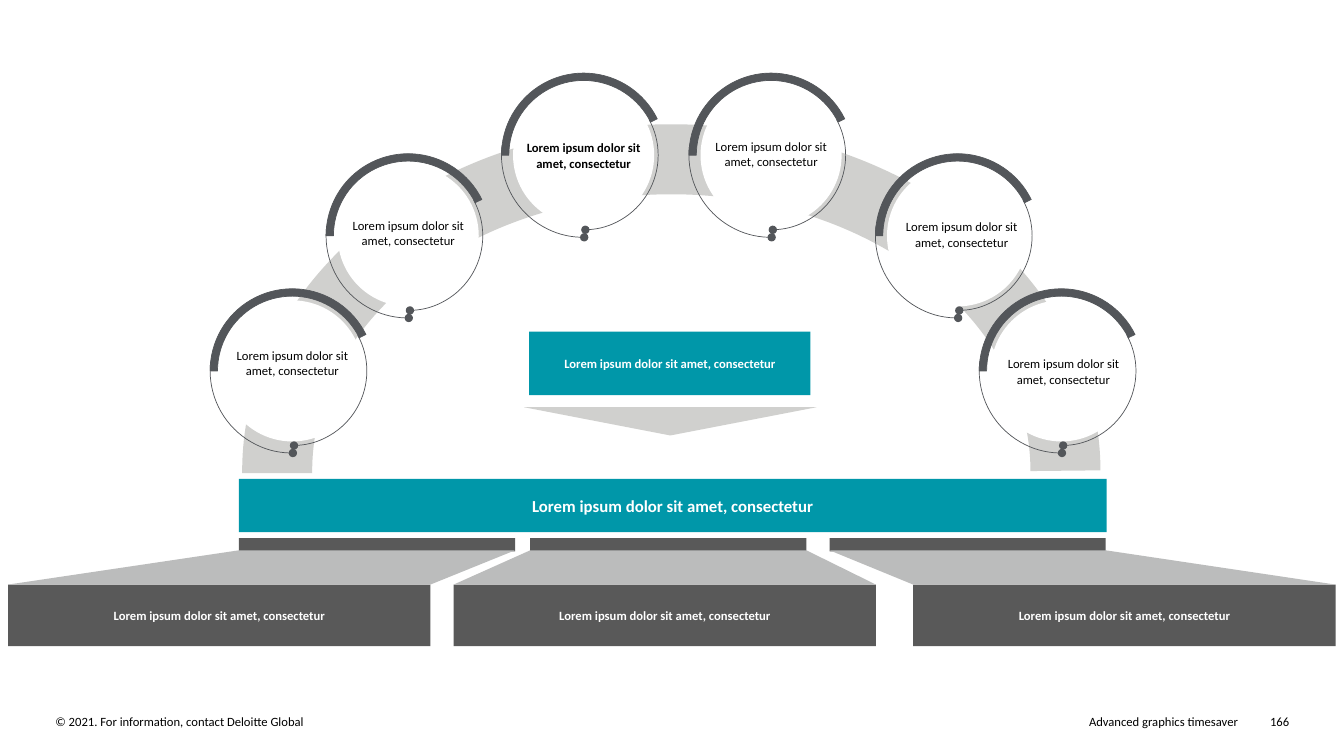
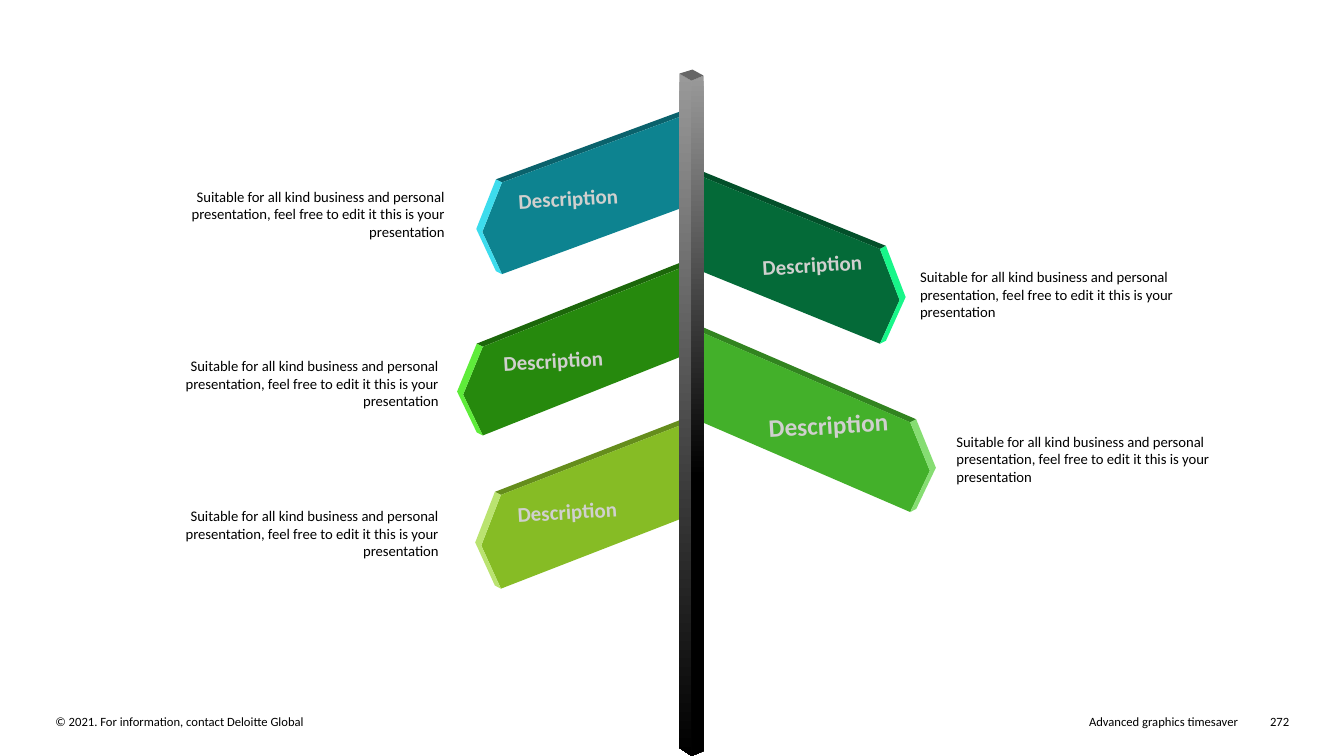
import pptx
import pptx.dml.color
import pptx.enum.shapes
import pptx.enum.text
import pptx.oxml.ns
import pptx.util
from lxml import etree

KIND = pptx.enum.shapes.MSO_SHAPE
ALIGN = {
    "left": pptx.enum.text.PP_ALIGN.LEFT,
    "mid": pptx.enum.text.PP_ALIGN.CENTER,
    "right": pptx.enum.text.PP_ALIGN.RIGHT,
}
UNIT = pptx.util.Inches(0.1)
COLS, ROWS = 400 / 3, 75
FONT = "Calibri"
BLACK, WHITE = "000000", "FFFFFF"
TEAL, SLATE, STEEL = "0097A9", "53565A", "595959"
PALE, MIST = "D0D0CE", "BBBCBC"
LOREM = "Lorem ipsum dolor sit amet, consectetur"
SUIT = ("Suitable for all kind business and personal presentation, "
        "feel free to edit it this is your presentation")


def cell(num):
    """Turn grid columns or rows into a length."""
    return pptx.util.Emu(round(num * UNIT))


def tint(code):
    """Turn a hex string into a colour."""
    return pptx.dml.color.RGBColor.from_string(code)


def paint(shape, fill=None, line=None, width=0.5):
    """Set the fill and line of a shape and drop its shadow."""
    shape.shadow.inherit = False
    if fill:
        shape.fill.solid()
        shape.fill.fore_color.rgb = tint(fill)
    else:
        shape.fill.background()
    if line:
        shape.line.color.rgb = tint(line)
        shape.line.width = pptx.util.Pt(width)
    else:
        shape.line.fill.background()


def write(shape, words, size=9, color=BLACK, bold=False, align="left", gap=None, wrap=True):
    """Put formatted text in a shape."""
    frame = shape.text_frame
    frame.word_wrap = wrap
    para = frame.paragraphs[0]
    para.alignment = ALIGN[align]
    if gap:
        para.line_spacing = gap
    run = para.add_run()
    run.text = words
    run.font.name = FONT
    run.font.size = pptx.util.Pt(size)
    run.font.bold = bold
    run.font.color.rgb = tint(color)


def label(slide, box, words, pad=True, turn=0, **form):
    """Add a text box, with or without its insets."""
    shape = slide.shapes.add_textbox(*map(cell, box))
    shape.rotation = turn
    if not pad:
        frame = shape.text_frame
        frame.margin_left = frame.margin_right = 0
        frame.margin_top = frame.margin_bottom = 0
    write(shape, words, **form)


def block(slide, box, fill, words=None, kind=KIND.RECTANGLE, **form):
    """Add a filled shape with optional bold white text."""
    shape = slide.shapes.add_shape(kind, *map(cell, box))
    paint(shape, fill)
    if words:
        write(shape, words, color=WHITE, bold=True, align="mid", **form)
    return shape


def patch(slide, fill, *spots):
    """Add a closed outline through the given spots."""
    first, *rest = [(cell(x), cell(y)) for x, y in spots]
    pen = slide.shapes.build_freeform(*first)
    pen.add_line_segments(rest, close=True)
    shape = pen.convert_to_shape()
    paint(shape, fill)
    return shape


def round_part(slide, kind, mid, size, turns=(), end=None, **look):
    """Add a circular part about a centre, with an optional dot at one end."""
    x, y = mid
    box = (x - size / 2, y - size / 2, size, size)
    shape = slide.shapes.add_shape(kind, *map(cell, box))
    for i, turn in enumerate(turns):
        shape.adjustments[i] = turn
    paint(shape, **look)
    if end:
        line = shape.element.spPr.find(pptx.oxml.ns.qn("a:ln"))
        etree.SubElement(line, pptx.oxml.ns.qn("a:" + end), type="oval")


def badge(slide, x, y, top, shift=0, **form):
    """Add a ringed disc with its caption."""
    mid = (x, y)
    round_part(slide, KIND.OVAL, mid, 14, fill=WHITE)
    round_part(slide, KIND.BLOCK_ARC, mid, 16.3, (108, 200.22, 0.045), fill=SLATE, line=SLATE)
    round_part(slide, KIND.ARC, mid, 14.8, (198.89, 53.19), "tailEnd", line=SLATE)
    round_part(slide, KIND.ARC, mid, 16.3, (53.75, 112.01), "headEnd", line=SLATE)
    label(slide, (x + shift - 5.65, top, 11.3, 4.9), LOREM, pad=False, align="mid", **form)


def pillar(slide, bar, base):
    """Add a bar that widens into a base block."""
    slim, wide = 27.4, 41.9
    block(slide, (bar, 53.4, slim, 1.3), STEEL)
    block(slide, (base, 58, wide, 6.1), STEEL, LOREM, gap=1.06)
    patch(slide, MIST, (bar, 54.6), (bar + slim, 54.6), (base + wide, 58), (base, 58))


def sign(slide, root, top, edge, drop, tall, roof, face, side):
    """Add a pointed board with its lit top and tip."""
    way = 1 if edge > root else -1
    high = drop + tall
    tip = (edge + 1.95 * way, drop + 0.54 * tall)

    def back(spot):
        """Move a spot by the depth of the board."""
        return spot[0] + 0.6 * way, spot[1] - 0.3

    near, far, low = (root, top), (edge, drop), (edge, high)
    patch(slide, roof, near, back(near), back(far), far)
    patch(slide, face, low, (root, top + tall), near, far, tip)
    patch(slide, side, low, back(low), back(tip), back(far), far, tip)


def shade(shape, stop):
    """Fade a shape from grey at the top to black."""
    shape.fill.gradient()
    shape.fill.gradient_angle = 270
    for mark, code, place in zip(shape.fill.gradient_stops, ("999999", BLACK), (0, stop)):
        mark.color.rgb = tint(code)
        mark.position = place


def post(slide):
    """Add the square pole and its cap."""
    left, mid, right, foot = 67.4, 68.6, 69.8, ROWS
    shade(patch(slide, BLACK, (mid, foot), (left, 74.2), (left, 7.3), (mid, 8)), 1)
    shade(patch(slide, BLACK, (mid, foot), (right, 74.5), (right, 7.5), (mid, 8)), 0.59)
    patch(slide, "666666", (left, 7.3), (68.7, 6.9), (right, 7.5), (mid, 8))


def page(deck, num):
    """Add a blank slide with the shared footer."""
    slide = deck.slides.add_slide(deck.slide_layouts[6])
    notes = (
        (5.5, 58.6, "© 2021. For information, contact Deloitte Global", "left"),
        (69.3, 53.5, "Advanced graphics timesaver", "right"),
        (124.5, 3.4, num, "right"),
    )
    for left, wide, words, align in notes:
        label(slide, (left, 70.8, wide, 1.5), words, pad=False, align=align)
    return slide


def arch(deck):
    """Build the arch of badges on its stepped base."""
    slide = page(deck, "166")
    block(slide, (23.7, 47.5, 86.1, 5.3), TEAL, LOREM, size=12)
    for bar, base in ((23.7, 0.8), (52.6, 45), (82.3, 90.6)):
        pillar(slide, bar, base)
    band = slide.shapes.add_shape(KIND.ARC, *map(cell, (27.5, 15.8, 78.2, 61.8)))
    band.adjustments[0], band.adjustments[1] = 107.8, 0
    paint(band, line=PALE, width=50)
    block(slide, (52, 40.4, 29, 2.8), PALE, kind=KIND.ISOSCELES_TRIANGLE).rotation = 180
    block(slide, (52.5, 32.9, 27.9, 6.3), TEAL, LOREM, gap=1.06)
    badge(slide, 29, 36.8, 34.5)
    badge(slide, 40.5, 23.4, 21.6)
    badge(slide, 57.9, 15.4, 13.8, gap=1.06, bold=True)
    badge(slide, 105.3, 36.8, 35.2, 0.2, gap=1.06)
    badge(slide, 95, 23.4, 21.6, 0.4, gap=1.06)
    badge(slide, 76.5, 15.4, 13.8)


def signs(deck):
    """Build the signpost with its boards and notes."""
    slide = page(deck, "272")
    boards = (
        (67.6, 32.1, 90.3, 41.9, 8.9, "328420", "43B02A", "86DD72"),
        (68, 42, 49.7, 49.1, 9.3, "658D1C", "86BC25", "BAE370"),
        (68.8, 11.1, 49.8, 18.1, 9.1, "0A626C", "0D8390", "3DDCED"),
        (68, 26.4, 47.9, 34.4, 8.8, "1C670A", "26890D", "5EEC3A"),
        (67.6, 16.7, 87.3, 24.7, 9.4, "03502A", "046A38", "18F689"),
    )
    for board in boards:
        sign(slide, *board)
    post(slide)
    names = ((47.6, 34, 15), (49, 49, 15), (49.1, 17.9, 15), (73.3, 24.5, 15), (73.7, 40.1, 18))
    for left, top, size in names:
        box = (left, top, 14.6 if size == 15 else 17, 4.3 if size == 15 else 4.9)
        label(slide, box, "Description", turn=356.6, size=size, color=PALE,
              bold=True, align="mid", wrap=False)
    notes = ((17.4, 18.1), (16.8, 34.9), (16.8, 49.8), (90.3, 26.1), (93.9, 42.4))
    for left, top in notes:
        align = "right" if left < COLS / 2 else "left"
        label(slide, (left, top, 27.7, 7.7), SUIT, size=10.5, align=align)


def main():
    """Build and save the deck."""
    deck = pptx.Presentation()
    deck.slide_width, deck.slide_height = cell(COLS), cell(ROWS)
    arch(deck)
    signs(deck)
    deck.save("out.pptx")


if __name__ == "__main__":
    main()
